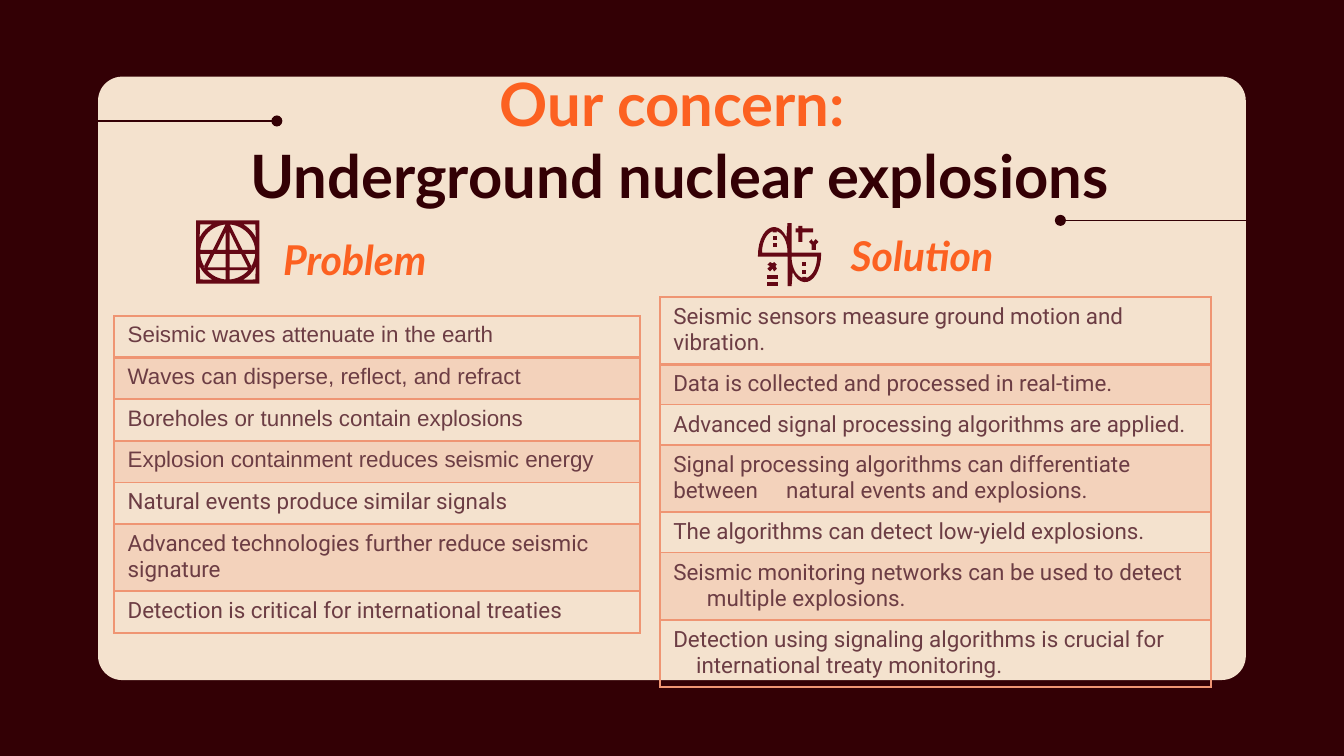
from dataclasses import dataclass
from math import cos, radians, sin

from lxml.etree import SubElement
from pptx import Presentation
from pptx.dml.color import RGBColor as RGB
from pptx.enum.shapes import MSO_CONNECTOR as CONN, MSO_SHAPE as SHAPE
from pptx.enum.text import MSO_ANCHOR as ANCHOR, PP_ALIGN as ALIGN
from pptx.oxml import parse_xml
from pptx.oxml.ns import nsdecls, qn
from pptx.util import Inches, Pt


@dataclass(frozen=True)
class Theme:
    dark: str = "330005"
    card: str = "F4E2CE"
    accent: str = "FC6121"
    icon: str = "640714"
    border: str = "EF9573"
    body: str = "6C3D44"
    heading_font: str = "Lato"
    title_size: int = 32
    subtitle_size: int = 22
    body_size: int = 12
    band_alpha: int = 20


def arc(cx, cy, rx, ry, start, end, steps=12):
    angles = [radians(start + (end - start) * i / steps) for i in range(steps + 1)]
    return [(cx + rx * cos(a), cy + ry * sin(a)) for a in angles]


def ring(r, start, end):
    return arc(0, 0, r, r, start, end)


def box(x, y, w, h):
    return [(x, y), (x, y + h), (x + w, y + h), (x + w, y)]


def flip_x(points):
    return [(-x, y) for x, y in points]


def turn(points):
    return [(-x, -y) for x, y in points]


def shift(points, dx, dy):
    return [(x + dx, y + dy) for x, y in points]


class Deck:
    def __init__(self, slide, theme):
        self.s = slide
        self.t = theme
        fill = slide.background.fill
        fill.solid()
        fill.fore_color.rgb = RGB.from_string(theme.dark)

    def paint(self, sp, color):
        sp.shadow.inherit = False
        sp.fill.solid()
        sp.fill.fore_color.rgb = RGB.from_string(color)
        sp.line.fill.background()

    def card(self, x, y, w, h, radius):
        sp = self.s.shapes.add_shape(
            SHAPE.ROUNDED_RECTANGLE, Inches(x), Inches(y), Inches(w), Inches(h))
        sp.adjustments[0] = radius
        self.paint(sp, self.t.card)

    def run(self, p, text, size, color, font, bold=False, italic=False):
        r = p.add_run()
        r.text = text
        f = r.font
        f.name, f.size, f.bold, f.italic = font, Pt(size), bold, italic
        f.color.rgb = RGB.from_string(color)

    def text(self, x, y, w, h, lines, size, anchor=ANCHOR.TOP, italic=False):
        sp = self.s.shapes.add_textbox(Inches(x), Inches(y), Inches(w), Inches(h))
        tf = sp.text_frame
        tf.word_wrap = True
        tf.vertical_anchor = anchor
        tf.margin_left = tf.margin_right = Inches(0.1)
        tf.margin_top = tf.margin_bottom = Inches(0.1)
        p = tf.paragraphs[0]
        p.alignment = ALIGN.CENTER
        for i, (text, color) in enumerate(lines):
            if i:
                p.add_line_break()
            self.run(p, text, size, color, self.t.heading_font, True, italic)

    def freeform(self, contours, shapes=None):
        builder = None
        for contour in contours:
            pts = [(Inches(x), Inches(y)) for x, y in contour]
            if builder is None:
                builder = (shapes or self.s.shapes).build_freeform(*pts[0])
            else:
                builder.move_to(*pts[0])
            builder.add_line_segments(pts[1:], close=True)
        self.paint(builder.convert_to_shape(), self.t.icon)

    def group(self, parts):
        shapes = self.s.shapes.add_group_shape().shapes
        for contours in parts:
            self.freeform(contours, shapes)

    def line(self, x1, x2, y):
        c = self.s.shapes.add_connector(
            CONN.STRAIGHT, Inches(x1), Inches(y), Inches(x2), Inches(y))
        c.line.color.rgb = RGB.from_string(self.t.dark)
        c.line.width = Pt(0.75)
        ln = c.line._get_or_add_ln()
        for end in ("a:headEnd", "a:tailEnd"):
            SubElement(ln, qn(end), type="oval")
        SubElement(c._element.spPr, qn("a:effectLst"))

    def border(self, cell, widths):
        for i, (side, width) in enumerate(zip("LRTB", widths)):
            cell._tc.get_or_add_tcPr().insert(i, parse_xml(
                f'<a:ln{side} {nsdecls("a")} w="{Pt(width)}"><a:solidFill>'
                f'<a:srgbClr val="{self.t.border}"/></a:solidFill></a:ln{side}>'))

    def table(self, x, y, w, h, rows, row_height):
        frame = self.s.shapes.add_table(
            len(rows), 1, Inches(x), Inches(y), Inches(w), Inches(h))
        tb = frame.table
        tb.first_row = tb.horz_banding = False
        for i, row in enumerate(rows):
            tb.rows[i].height = Inches(row.get("height", row_height))
            cell = tb.cell(i, 0)
            if i % 2:
                cell.fill.solid()
                cell.fill.fore_color.rgb = RGB.from_string(self.t.border)
                color = next(cell._tc.tcPr.iter(qn("a:srgbClr")))
                SubElement(color, qn("a:alpha"), val=str(self.t.band_alpha * 1000))
            else:
                cell.fill.background()
            self.border(cell, (1, 1, 2 if i == 1 else 1, 2 if i == 0 else 1))
            p = cell.text_frame.paragraphs[0]
            pPr = p._p.get_or_add_pPr()
            if "hang" in row:
                pPr.set("marL", str(Inches(row["hang"])))
                pPr.set("indent", str(-Inches(row["hang"])))
            if "tab" in row:
                tabs = SubElement(pPr, qn("a:tabLst"))
                SubElement(tabs, qn("a:tab"), pos=str(Inches(row["tab"])), algn="l")
            self.run(p, row["text"], self.t.body_size, self.t.body, row.get("font", "Roboto"))
        frame.height = Inches(h)


PROBLEMS = [
    dict(text="Seismic waves attenuate in the earth", font="Arial"),
    dict(text="Waves can disperse, reflect, and refract", font="Arial"),
    dict(text="Boreholes or tunnels contain explosions", font="Arial"),
    dict(text="Explosion containment reduces seismic energy", font="Arial"),
    dict(text="Natural events produce similar signals"),
    dict(text="Advanced technologies further reduce seismic signature", height=0.38),
    dict(text="Detection is critical for international treaties"),
]
SOLUTIONS = [
    dict(text="Seismic sensors measure ground motion and vibration.", height=0.32),
    dict(text="Data is collected and processed in real-time."),
    dict(text="Advanced signal processing algorithms are applied."),
    dict(text="Signal processing algorithms can differentiate between\tnatural events and explosions.",
         height=0.48, tab=0.84),
    dict(text="The algorithms can detect low-yield explosions."),
    dict(text="Seismic monitoring networks can be used to detect multiple explosions.",
         height=0.48, hang=0.25),
    dict(text="Detection using signaling algorithms is crucial for international treaty monitoring.",
         height=0.48, hang=0.17),
]


def geometry_icon():
    a, b, c, e = 0.015, 0.115, 0.135, 0.205
    half = 0.235
    left = [
        [(-e, -e)] + ring(half, 241, 207),
        [(-a, -e), (-0.11, -a), (-e, -a)] + ring(e, 184, 266),
        [(-a, -0.15), (-a, -a), (-0.08, -a)],
        [(-a, a), (-a, b), (-0.15, b), (-0.1, a)],
        [(-0.13, a), (-0.18, b)] + ring(e, 146, 176),
        [(-a, c), (-a, e)] + ring(e, 94, 139),
        [(-e, e)] + ring(half, 153, 119),
    ]
    contours = left + [flip_x(hole) for hole in left] + [box(-half, -half, 2 * half, 2 * half)]
    return [shift(contour, 1.695, 1.875) for contour in contours]


def wave_icon():
    a, h = 0.015, 0.235
    outer = [(-a, -h)] + arc(-0.115, 0.005, 0.12, 0.21, -40, -180) + [(-h, a), (-a, a), (-a, h)]
    hole = (arc(-0.11, -a, 0.095, 0.16, -180, -98) + [(-0.125, -0.165), (-0.095, -0.165)]
            + arc(-0.11, -a, 0.095, 0.16, -82, 0))
    wave = [shift(c, 5.875, 1.895) for c in (hole, turn(hole), outer + turn(outer))]
    times = [(5.73, 1.95), (5.71, 1.97), (5.73, 1.98), (5.71, 2), (5.73, 2.02), (5.75, 2),
             (5.76, 2.02), (5.78, 2), (5.77, 1.98), (5.78, 1.97), (5.76, 1.95), (5.75, 1.96)]
    plus = [(5.94, 1.68), (5.94, 1.7), (5.92, 1.7), (5.92, 1.73), (5.94, 1.73), (5.94, 1.8),
            (5.97, 1.8), (5.97, 1.73), (6.05, 1.73), (6.05, 1.7), (5.97, 1.7), (5.97, 1.68)]
    letter_y = [(6.04, 1.78), (6.02, 1.8), (6.04, 1.82), (6.04, 1.86), (6.07, 1.86),
                (6.07, 1.82), (6.09, 1.8), (6.07, 1.78), (6.05, 1.8)]
    equals = [box(5.71, y, 0.08, 0.03) for y in (2.05, 2.1)]
    dots = [box(x, y, 0.03, 0.03)
            for x, y in ((5.97, 2.01), (5.97, 1.95), (5.75, 1.81), (5.75, 1.76))]
    return [wave] + [[c] for c in [times, *equals, plus, letter_y, *dots]]


def main():
    prs = Presentation()
    prs.slide_width, prs.slide_height = Inches(10), Inches(10 * 9 / 16)
    t = Theme()
    deck = Deck(prs.slides.add_slide(prs.slide_layouts[6]), t)
    deck.card(0.73, 0.57, 8.54, 4.49, 0.04)
    deck.text(0.79, 0.4, 8.43, 0.63, [("Our concern:", t.accent),
              (" Underground nuclear explosions", t.dark)], t.title_size)
    for label, x, y in (("Problem", 1.27, 1.6), ("Solution", 5.49, 1.57)):
        deck.text(x, y, 2.74, 0.61, [(label, t.accent)], t.subtitle_size, ANCHOR.BOTTOM, True)
    deck.freeform(geometry_icon())
    deck.group(wave_icon())
    deck.line(0.47, 2.06, 0.9)
    deck.line(7.89, 9.49, 1.64)
    deck.table(0.85, 2.35, 3.91, 2.38, PROBLEMS, 0.31)
    deck.table(4.91, 2.21, 4.1, 2.72, SOLUTIONS, 0.29)
    prs.save("out.pptx")


if __name__ == "__main__":
    main()
